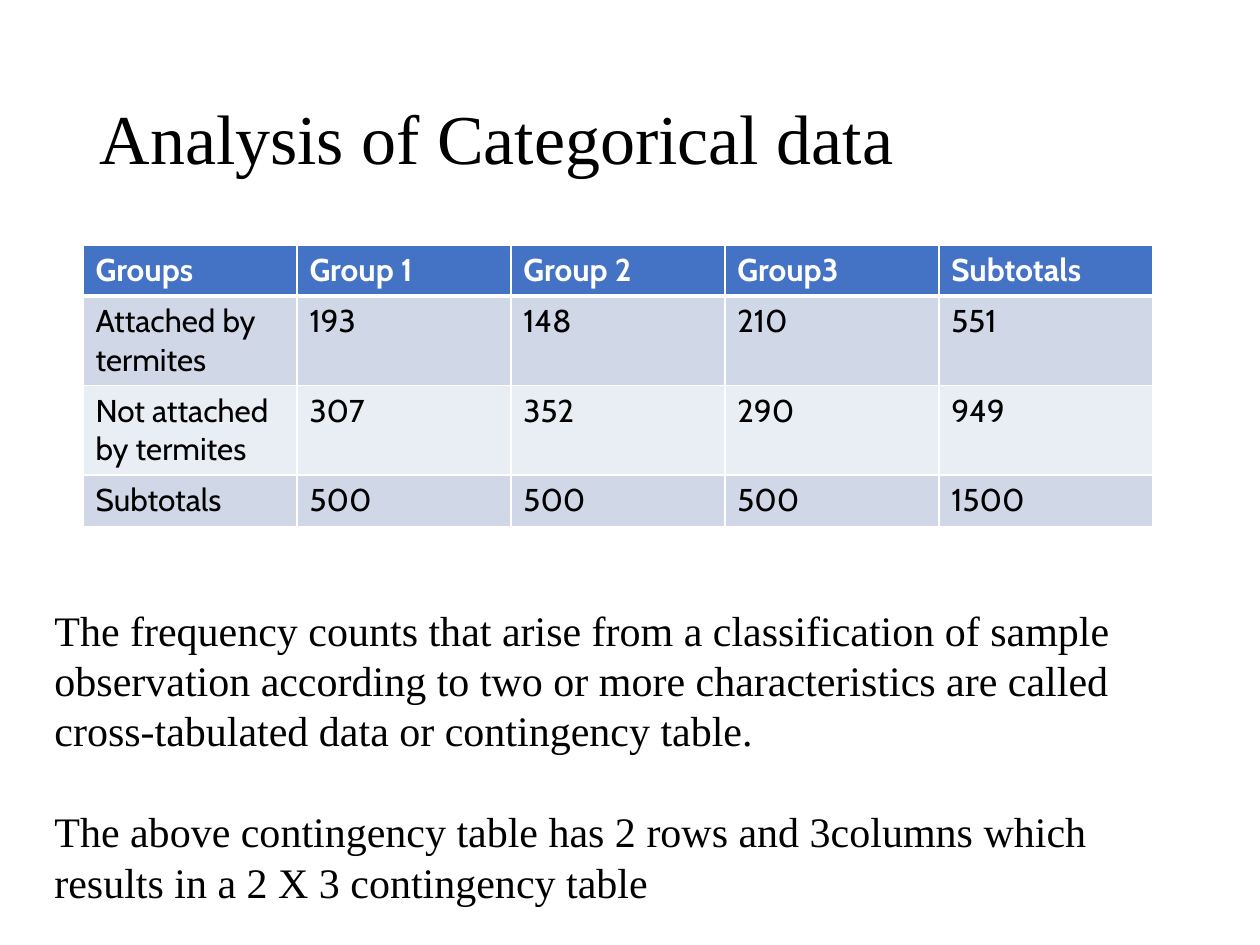
from dataclasses import dataclass

from lxml import etree
from pptx import Presentation
from pptx.dml.color import RGBColor
from pptx.enum.text import MSO_ANCHOR, MSO_AUTO_SIZE, PP_ALIGN
from pptx.oxml.ns import qn
from pptx.util import Emu, Pt

LEFT = PP_ALIGN.LEFT
MIDDLE = MSO_ANCHOR.MIDDLE
NO_FIT = MSO_AUTO_SIZE.NONE
TITLE_ONLY = 5
PX_PER_INCH = 126


@dataclass(frozen=True)
class Theme:
    serif: str = "Times New Roman"
    sans: str = "Cabin"
    ink: str = "000000"
    white: str = "FFFFFF"
    header: str = "4472C4"
    bands: tuple = ("D0D8E8", "E9EDF4")
    title_size: int = 40
    table_size: int = 18
    body_size: int = 24
    body_leading: float = 28.8
    thin: int = 1
    thick: int = 3


THEME = Theme()

TITLE = "Analysis of Categorical data"
COUNTS = [
    ["Groups", "Group 1", "Group 2", "Group3", "Subtotals"],
    ["Attached by termites", "193", "148", "210", "551"],
    ["Not attached by termites", "307", "352", "290", "949"],
    ["Subtotals", "500", "500", "500", "1500"],
]
ROW_HEIGHTS = [40, 88, 88, 50]
COLUMN_WIDTH = 214
EXPLANATION = [
    "The frequency counts that arise from a classification of sample observation "
    "according to two or more characteristics are called cross-tabulated data or "
    "contingency table.",
    "The above contingency table has 2 rows and 3columns which results in a "
    "2 X 3 contingency table",
]


def px(n):
    return Emu(round(n * 914400 / PX_PER_INCH))


def style(p, name, size, color, bold=False):
    p.alignment = LEFT
    p.font.name = name
    p.font.size = Pt(size)
    p.font.bold = bold
    p.font.color.rgb = RGBColor.from_string(color)


def add_title(s, text, x, y, w, h):
    sp = s.shapes.title
    sp.left, sp.top, sp.width, sp.height = px(x), px(y), px(w), px(h)
    tf = sp.text_frame
    tf.text = text
    tf.word_wrap = True
    tf.auto_size = NO_FIT
    tf.vertical_anchor = MIDDLE
    p = tf.paragraphs[0]
    p.line_spacing = 0.9
    style(p, THEME.serif, THEME.title_size, THEME.ink)


def set_borders(cell, widths):
    tc_pr = cell._tc.get_or_add_tcPr()
    for i, (side, width) in enumerate(widths.items()):
        ln = etree.Element(qn(f"a:{side}"), w=str(Pt(width)))
        fill = etree.SubElement(ln, qn("a:solidFill"))
        etree.SubElement(fill, qn("a:srgbClr"), val=THEME.white)
        tc_pr.insert(i, ln)


def fill_cell(cell, text, row):
    is_header = row == 0
    cell.text = text
    cell.fill.solid()
    color = THEME.header if is_header else THEME.bands[(row - 1) % 2]
    cell.fill.fore_color.rgb = RGBColor.from_string(color)
    ink = THEME.white if is_header else THEME.ink
    style(cell.text_frame.paragraphs[0], THEME.sans, THEME.table_size, ink, is_header)
    set_borders(cell, {
        "lnL": THEME.thin,
        "lnR": THEME.thin,
        "lnT": THEME.thick if row == 1 else THEME.thin,
        "lnB": THEME.thick if is_header else THEME.thin,
    })


def add_counts_table(s, rows, x, y):
    n_cols = len(rows[0])
    frame = s.shapes.add_table(len(rows), n_cols, px(x), px(y),
                               px(n_cols * COLUMN_WIDTH), px(sum(ROW_HEIGHTS)))
    table = frame.table
    for column in table.columns:
        column.width = px(COLUMN_WIDTH)
    for i, (values, height) in enumerate(zip(rows, ROW_HEIGHTS)):
        table.rows[i].height = px(height)
        for j, value in enumerate(values):
            fill_cell(table.cell(i, j), value, i)


def add_explanation(s, texts, x, y, w, h):
    tf = s.shapes.add_textbox(px(x), px(y), px(w), px(h)).text_frame
    tf.word_wrap = True
    for i, text in enumerate(texts):
        p = tf.add_paragraph() if i else tf.paragraphs[0]
        p.text = text
        p.line_spacing = Pt(THEME.body_leading)
        if i:
            p.space_before = Pt(THEME.body_leading)
        style(p, THEME.serif, THEME.body_size, THEME.ink)


def main():
    prs = Presentation()
    prs.slide_width, prs.slide_height = px(1260), px(945)
    s = prs.slides.add_slide(prs.slide_layouts[TITLE_ONLY])
    add_title(s, TITLE, 87, 50, 1086, 183)
    add_counts_table(s, COUNTS, 83, 245)
    add_explanation(s, EXPLANATION, 42, 598, 1092, 318)
    prs.save("out.pptx")


if __name__ == "__main__":
    main()
